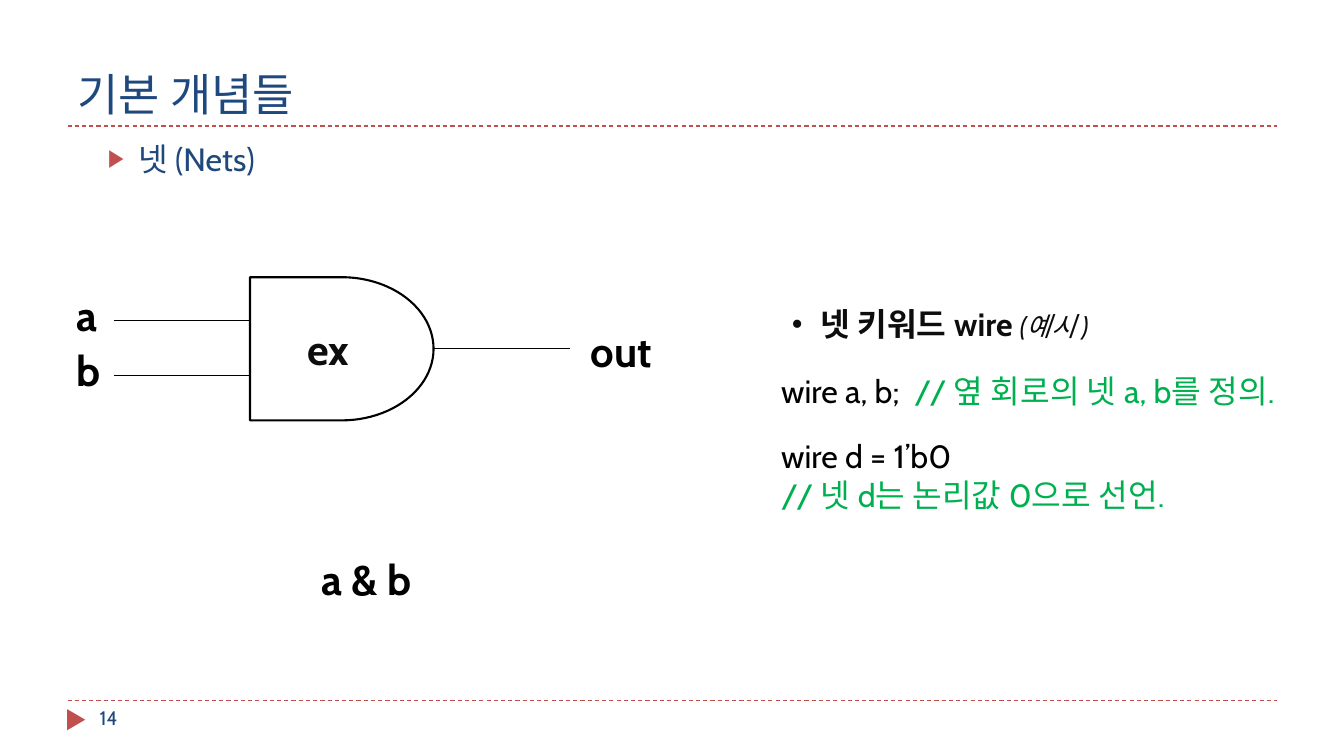
from lxml import etree
from pptx import Presentation
from pptx.dml.color import RGBColor
from pptx.enum import dml, shapes, text
from pptx.oxml import ns
from pptx.util import Inches, Pt

NAVY = RGBColor(0x1F, 0x49, 0x7D)
RED = RGBColor(0xC0, 0x50, 0x4D)
BLACK = RGBColor(0, 0, 0)
INK = RGBColor(0x0D, 0x0D, 0x0D)
GREEN = RGBColor(0, 0xB0, 0x50)


class SlideBuilder:
    BODY_FONT = "Cabin"
    TITLE_FONT = "Roboto Slab"

    def __init__(self, presentation):
        self.slide = presentation.slides.add_slide(presentation.slide_layouts[1])

    def style(self, font, size, color, bold=False, name=BODY_FONT):
        font.name, font.size, font.bold = name, Pt(size), bold
        font.color.rgb = color

    def place(self, shape, left, top, width, height):
        shape.left, shape.top = Inches(left), Inches(top)
        shape.width, shape.height = Inches(width), Inches(height)

    def title(self, words):
        shape = self.slide.shapes.title
        self.place(shape, 0.67, 0.17, 12, 1.08)
        frame = shape.text_frame
        frame.text = words
        frame.auto_size = text.MSO_AUTO_SIZE.NONE
        frame.vertical_anchor = text.MSO_ANCHOR.BOTTOM
        paragraph = frame.paragraphs[0]
        paragraph.alignment = text.PP_ALIGN.LEFT
        self.style(paragraph.font, 32, NAVY, name=self.TITLE_FONT)

    def body(self, words):
        shape = self.slide.placeholders[1]
        self.place(shape, 0.67, 1.33, 12, 5.4)
        frame = shape.text_frame
        frame.text = words
        frame.auto_size = text.MSO_AUTO_SIZE.NONE
        paragraph = frame.paragraphs[0]
        paragraph.level = 1
        paragraph.space_before = Pt(5)
        self.bullet(paragraph, "▶", RED, 76)
        self.style(paragraph.font, 23, NAVY)

    def bullet(self, paragraph, char, color, percent):
        properties = paragraph._p.get_or_add_pPr()
        properties.set("marL", str(Inches(0.6)))
        properties.set("indent", str(Inches(-0.3)))
        bullet_color = etree.SubElement(properties, ns.qn("a:buClr"))
        etree.SubElement(bullet_color, ns.qn("a:srgbClr"), val=str(color))
        etree.SubElement(properties, ns.qn("a:buSzPct"), val=str(percent * 1000))
        etree.SubElement(properties, ns.qn("a:buChar"), char=char)

    def label(self, words, left, top, width, height, size=30, color=BLACK, bold=True):
        """Add a text box with one paragraph per line; return its paragraphs."""
        shape = self.slide.shapes.add_textbox(
            Inches(left), Inches(top), Inches(width), Inches(height))
        frame = shape.text_frame
        frame.word_wrap = True
        frame.text = words
        for paragraph in frame.paragraphs:
            self.style(paragraph.font, size, color, bold)
        return frame.paragraphs

    def line(self, left, right, y, color=BLACK, dashed=False):
        connector = self.slide.shapes.add_connector(
            shapes.MSO_CONNECTOR.STRAIGHT,
            Inches(left), Inches(y), Inches(right), Inches(y))
        connector.line.color.rgb = color
        connector.line.width = Pt(0.75)
        if dashed:
            connector.line.dash_style = dml.MSO_LINE.DASH
        etree.SubElement(connector._element.spPr, ns.qn("a:effectLst"))

    def preset(self, kind, left, top, width, height):
        shape = self.slide.shapes.add_shape(
            kind, Inches(left), Inches(top), Inches(width), Inches(height))
        shape.shadow.inherit = False
        return shape

    def page_marker(self, number):
        marker = self.preset(shapes.MSO_SHAPE.ISOSCELES_TRIANGLE, 0.65, 7.05, 0.21, 0.18)
        marker.rotation = 90
        marker.fill.solid()
        marker.fill.fore_color.rgb = RED
        marker.line.fill.background()
        self.label(number, 0.89, 6.95, 2.89, 0.4, 14, NAVY, False)

    def gate(self, words):
        shape = self.preset(shapes.MSO_SHAPE.FLOWCHART_DELAY, 2.48, 2.75, 1.82, 1.42)
        shape.fill.background()
        shape.line.color.rgb = BLACK
        shape.line.width = Pt(1.5)
        frame = shape.text_frame
        frame.text = words
        frame.vertical_anchor = text.MSO_ANCHOR.MIDDLE
        paragraph = frame.paragraphs[0]
        paragraph.alignment = text.PP_ALIGN.CENTER
        self.style(paragraph.font, 30, INK, True)


def main():
    presentation = Presentation()
    presentation.slide_width, presentation.slide_height = Inches(13.33), Inches(7.5)
    builder = SlideBuilder(presentation)

    for rule_y in (6.95, 1.25):
        builder.line(0.67, 12.67, rule_y, RED, dashed=True)
    builder.page_marker("14")
    builder.title("기본 개념들")
    builder.body("넷 (Nets)")

    builder.gate("ex")
    builder.line(4.3, 5.65, 3.46)
    builder.label("out", 5.76, 3.18, 0.91, 0.54)
    for name, wire_y in (("a", 3.18), ("b", 3.73)):
        builder.line(1.13, 2.48, wire_y)
        builder.label(name, 0.66, wire_y - 0.36, 0.62, 0.54)
    builder.label("a & b", 3.09, 5.44, 1.22, 0.61)

    definition, = builder.label("wire a, b;  ", 7.65, 3.63, 5.48, 0.49, 23, bold=False)
    comment = definition.add_run()
    comment.text = "// 옆 회로의 넷 a, b를 정의."
    comment.font.color.rgb = GREEN

    declaration = builder.label("wire d = 1’b0\n// 넷 d는 논리값 0으로 선언.",
                                7.65, 4.28, 4.58, 0.88, 23, bold=False)
    declaration[1].font.color.rgb = GREEN

    keyword, = builder.label("• 넷 키워드 wire ", 7.65, 2.97, 4.58, 0.49, 23, INK)
    example = keyword.add_run()
    example.text = "(예시 )"
    example.font.size = Pt(19)
    example.font.bold, example.font.italic = False, True

    presentation.save("out.pptx")


if __name__ == "__main__":
    main()
